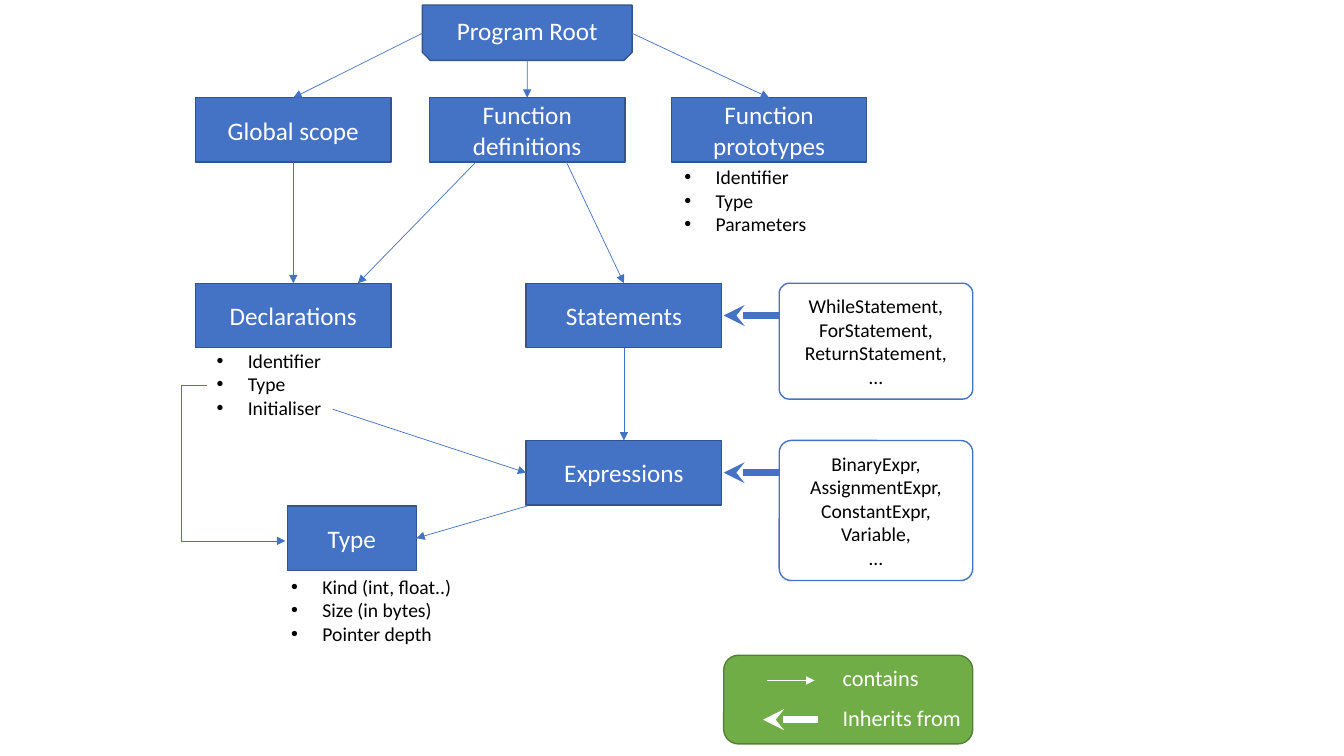
from pptx import Presentation
from pptx import util as u
from pptx.dml.color import RGBColor
from pptx.enum import shapes, text
from pptx.oxml.ns import qn
from lxml import etree

BLUE = RGBColor(0x44, 0x72, 0xC4)
NAVY = RGBColor(0x32, 0x54, 0x91)
GREEN = RGBColor(0x70, 0xAD, 0x47)
DARK_GREEN = RGBColor(0x53, 0x80, 0x35)
WHITE = RGBColor(0xFF, 0xFF, 0xFF)
BLACK = RGBColor(0, 0, 0)

SHAPE = shapes.MSO_SHAPE
TOP, LEFT, BOTTOM, RIGHT = range(4)
NODE_W, NODE_H = 14.55, 8.53
LEFT_COL, MID_COL, RIGHT_COL, FLOW_COL, CLASS_COL = 14.55, 31.95, 49.95, 39.15, 57.98
SCOPE_ROW, STATEMENT_ROW, EXPRESSION_ROW, TYPE_ROW = 12.93, 37.47, 58.27, 66.93
LEGEND_LEFT = 53.85


class Diagram:
    font = "Calibri"

    def __init__(self, deck):
        self.page = deck.slides.add_slide(deck.slide_layouts[6])
        self.column = deck.slide_width / 100
        self.row = deck.slide_height / 100

    def grid(self, *lengths):
        units = (self.column, self.row) * 2
        return [u.Emu(round(length * unit)) for length, unit in zip(lengths, units)]

    def fill_text(self, frame, wording, size, color, align):
        frame.text = wording
        for para in frame.paragraphs:
            para.alignment = align
            for span in para.runs:
                span.font.name = self.font
                span.font.size = u.Pt(size)
                span.font.color.rgb = color

    def box(self, wording, at, kind=SHAPE.RECTANGLE, adjust=(), fill=BLUE,
            line=NAVY, size=18, color=WHITE):
        box = self.page.shapes.add_shape(kind, *self.grid(*at))
        for index, value in enumerate(adjust):
            box.adjustments[index] = value
        box.shadow.inherit = False
        box.fill.solid()
        box.fill.fore_color.rgb = fill
        box.line.color.rgb = line
        box.line.width = u.Pt(1)
        frame = box.text_frame
        frame.word_wrap = True
        frame.vertical_anchor = text.MSO_ANCHOR.MIDDLE
        if wording:
            self.fill_text(frame, wording, size, color, text.PP_ALIGN.CENTER)
        return box

    def node(self, wording, left, top, width=NODE_W):
        return self.box(wording, (left, top, width, NODE_H))

    def subclasses(self, names, top, height):
        self.box("\n".join(names), (CLASS_COL, top, 14.4, height),
                 SHAPE.ROUNDED_RECTANGLE, (0.086,), WHITE, BLUE, 14, BLACK)
        middle = top + NODE_H / 2
        self.inherits((CLASS_COL, middle), (LEGEND_LEFT, middle))

    def label(self, wording, at, size=16, color=WHITE):
        box = self.page.shapes.add_textbox(*self.grid(*at))
        frame = box.text_frame
        frame.word_wrap = False
        frame.auto_size = text.MSO_AUTO_SIZE.SHAPE_TO_FIT_TEXT
        self.fill_text(frame, wording, size, color, text.PP_ALIGN.LEFT)
        return frame

    def bullets(self, items, left, top, width):
        frame = self.label("\n".join(items), (left, top, width, 10.8), 14, BLACK)
        for para in frame.paragraphs:
            props = para._p.get_or_add_pPr()
            indent = u.Inches(0.31)
            props.set("marL", str(indent))
            props.set("indent", str(-indent))
            etree.SubElement(props, qn("a:buFont")).set("typeface", "Arial")
            etree.SubElement(props, qn("a:buChar")).set("char", "•")

    def arrow(self, start, end, color=BLUE, width=0.5, head="triangle", bend=None):
        kind = shapes.MSO_CONNECTOR.STRAIGHT if bend is None else shapes.MSO_CONNECTOR.ELBOW
        joins = [not isinstance(place[0], (int, float)) for place in (start, end)]
        points = [(0, 0) if joined else self.grid(*place)
                  for joined, place in zip(joins, (start, end))]
        link = self.page.shapes.add_connector(kind, *points[0], *points[1])
        if joins[0]:
            link.begin_connect(*start)
        if joins[1]:
            link.end_connect(*end)
        link.line.color.rgb = color
        link.line.width = u.Pt(width)
        props = link._element.spPr
        etree.SubElement(props.find(qn("a:ln")), qn("a:tailEnd")).set("type", head)
        etree.SubElement(props, qn("a:effectLst"))
        if bend is not None:
            geometry = props.find(qn("a:prstGeom"))
            guides = geometry.find(qn("a:avLst"))
            if guides is None:
                guides = etree.SubElement(geometry, qn("a:avLst"))
            guide = etree.SubElement(guides, qn("a:gd"))
            guide.set("name", "adj1")
            guide.set("fmla", f"val {round(bend * 100000)}")

    def inherits(self, start, end, color=BLUE):
        self.arrow(start, end, color, 5, "stealth")


def main():
    deck = Presentation()
    deck.slide_width, deck.slide_height = u.Inches(13.33), u.Inches(7.5)
    tree = Diagram(deck)

    tree.box("Program Root", (31.43, 0.67, 15.6, 7.33),
             SHAPE.SNIP_2_SAME_RECTANGLE, (0, 0.145))
    scope = tree.node("Global scope", LEFT_COL, SCOPE_ROW)
    functions = tree.node("Function definitions", MID_COL, SCOPE_ROW)
    prototypes = tree.node("Function prototypes", RIGHT_COL, SCOPE_ROW)
    declarations = tree.node("Declarations", LEFT_COL, STATEMENT_ROW)
    statements = tree.node("Statements", FLOW_COL, STATEMENT_ROW)
    expressions = tree.node("Expressions", FLOW_COL, EXPRESSION_ROW)
    type_node = tree.node("Type", 21.38, TYPE_ROW, 9.6)

    tree.bullets(("Identifier", "Type", "Initialiser"), 15.38, 45.47, 9.45)
    tree.bullets(("Identifier", "Type", "Parameters"), 50.18, 21.2, 10.73)
    tree.bullets(("Kind (int, float..)", "Size (in bytes)", "Pointer depth"),
                 20.93, 75.33, 13.58)

    tree.subclasses(("WhileStatement,", "ForStatement,", "ReturnStatement,", "…"),
                    STATEMENT_ROW, 15.33)
    tree.subclasses(("BinaryExpr,", "AssignmentExpr,", "ConstantExpr,", "Variable,", "…"),
                    EXPRESSION_ROW, 18.53)

    scope_bottom = SCOPE_ROW + NODE_H
    for start, end in (
        ((31.43, 4.4), (scope, TOP)),
        ((39.23, 8), (functions, TOP)),
        ((47.03, 4.4), (prototypes, TOP)),
        ((scope, BOTTOM), (declarations, TOP)),
        ((35.4, scope_bottom), (26.63, STATEMENT_ROW)),
        ((42.15, scope_bottom), (statements, TOP)),
        ((statements, BOTTOM), (expressions, TOP)),
        ((24.75, 54.13), (expressions, LEFT)),
        ((39.23, TYPE_ROW), (type_node, RIGHT)),
    ):
        tree.arrow(start, end)
    tree.arrow((15.38, 50.93), (21.23, 71.55), bend=-0.32)

    tree.box("", (LEGEND_LEFT, 86.67, 18.53, 11.73), SHAPE.ROUNDED_RECTANGLE,
             fill=GREEN, line=DARK_GREEN)
    tree.arrow((57.08, 90), (60.6, 90), WHITE)
    tree.label("contains", (61.95, 87.2, 7.28, 4.93))
    tree.inherits((60.9, 95.2), (56.78, 95.2), WHITE)
    tree.label("Inherits from", (61.95, 92.53, 10.43, 4.93))

    deck.save("out.pptx")


if __name__ == "__main__":
    main()
